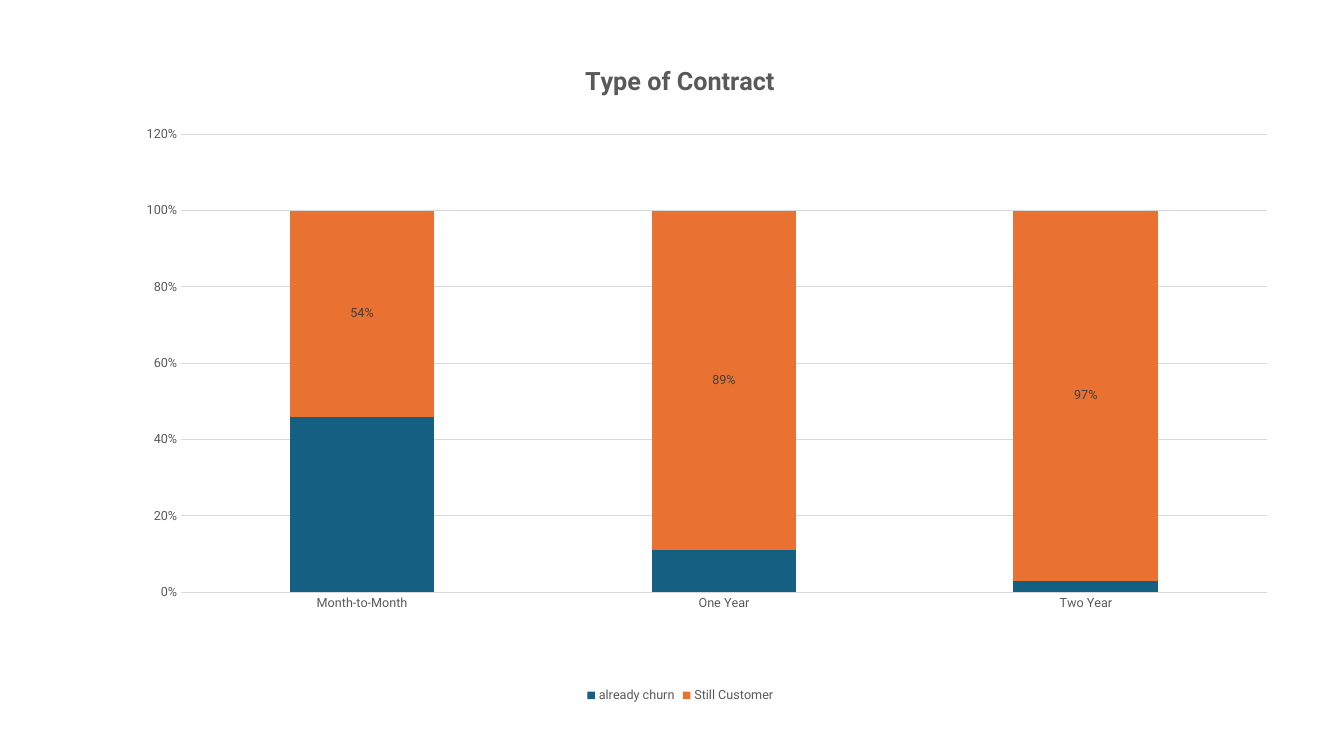
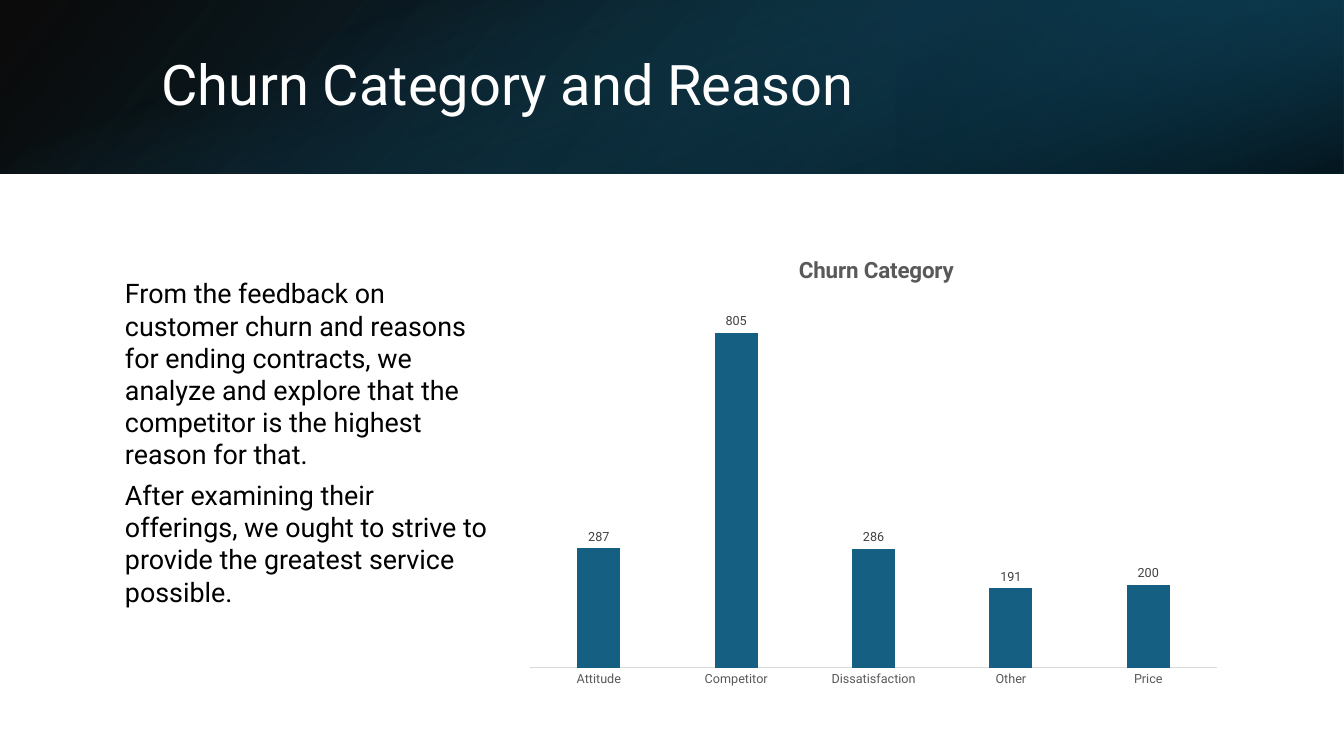
from lxml import etree
from pptx import Presentation
from pptx.chart.data import CategoryChartData
from pptx.dml.color import RGBColor
from pptx.enum.chart import XL_CHART_TYPE, XL_LABEL_POSITION, XL_LEGEND_POSITION, XL_TICK_MARK
from pptx.enum.shapes import MSO_SHAPE
from pptx.enum.text import MSO_ANCHOR, MSO_AUTO_SIZE, PP_ALIGN
from pptx.oxml.ns import qn
from pptx.util import Cm, Pt

STACK = XL_CHART_TYPE.COLUMN_STACKED
CLUSTER = XL_CHART_TYPE.COLUMN_CLUSTERED
CENTER = XL_LABEL_POSITION.CENTER
OUTSIDE = XL_LABEL_POSITION.OUTSIDE_END
BOTTOM = XL_LEGEND_POSITION.BOTTOM
NO_TICK = XL_TICK_MARK.NONE
RECT = MSO_SHAPE.RECTANGLE
MIDDLE = MSO_ANCHOR.MIDDLE
NO_FIT = MSO_AUTO_SIZE.NONE
LEFT = PP_ALIGN.LEFT

FONT = "Roboto"
WHITE = RGBColor(0xFF, 0xFF, 0xFF)
BLACK = RGBColor(0, 0, 0)
BLUE = RGBColor(0x15, 0x60, 0x82)
ORANGE = RGBColor(0xE9, 0x71, 0x32)
NAVY = RGBColor(0x10, 0x48, 0x62)
DEEP = RGBColor(0x0B, 0x30, 0x41)
GRAY = RGBColor(0x59, 0x59, 0x59)
DARK = RGBColor(0x40, 0x40, 0x40)
PALE = RGBColor(0xD9, 0xD9, 0xD9)

WIDE, HIGH, BAND = 33.87, 19.05, 4.37

CONTRACT = {
    "kind": STACK,
    "at": (1.42, 0.84, 31.45, 16.97),
    "title": ("Type of Contract", 18, (0.42, 0.04)),
    "cats": ["Month-to-Month", "One Year", "Two Year"],
    "series": [
        ("already churn", [0.46, 0.11, 0.03], BLUE, None),
        ("Still Customer", [0.54, 0.89, 0.97], ORANGE, CENTER),
    ],
    "format": "0%",
    "gap": 150,
    "overlap": 100,
    "plot": (0.1, 0.15, 0.87, 0.68),
    "scale": (1.2, 0.2),
    "full": True,
}

REASON = {
    "kind": CLUSTER,
    "at": (13, 5.87, 18.03, 11.66),
    "title": ("Churn Category", 16, (0.39, 0.04)),
    "cats": ["Attitude", "Competitor", "Dissatisfaction", "Other", "Price"],
    "series": [("Series 1", [287, 805, 286, 191, 200], BLUE, OUTSIDE)],
    "format": "General",
    "gap": 219,
    "overlap": -27,
    "plot": (0.02, 0.13, 0.96, 0.81),
    "scale": (900, 100),
    "full": False,
}

HEADING = "Churn Category and Reason"
NOTES = [
    "From the feedback on customer churn and reasons for ending contracts, we analyze "
    "and explore that the competitor is the highest reason for that.",
    "After examining their offerings, we ought to strive to provide the greatest service possible.",
]

SIDE = (WIDE - BAND) / 2
BANDS = [
    ((0, 0, WIDE, BAND), 0, True, 140, [(0, BLACK, 96), (100, NAVY, 100)]),
    ((WIDE * 2 / 3, 0, WIDE / 3, BAND), 180, True, 320, [(19, DEEP, 68), (100, BLUE, 79)]),
    ((SIDE, -SIDE, BAND, WIDE), 90, False, 340, [(23, BLUE, 0), (99, BLACK, 74)]),
]


def place(box):
    return [Cm(n) for n in box]


def style(font, size, color, bold=False):
    font.name, font.size, font.bold = FONT, Pt(size), bold
    font.color.rgb = color


def set_layout(node, spot, index):
    layout = node.find(qn("c:layout"))
    if layout is None:
        layout = etree.Element(qn("c:layout"))
        node.insert(index, layout)
    manual = etree.SubElement(layout, qn("c:manualLayout"))
    rows = [("xMode", "edge"), ("yMode", "edge")] + list(zip("xywh", spot))
    if len(spot) == 4:
        rows.insert(0, ("layoutTarget", "inner"))
    for tag, value in rows:
        etree.SubElement(manual, qn("c:" + tag)).set("val", str(value))


def add_chart(slide, info):
    data = CategoryChartData(number_format=info["format"])
    data.categories = info["cats"]
    for name, values, _, _ in info["series"]:
        data.add_series(name, values)
    chart = slide.shapes.add_chart(info["kind"], *place(info["at"]), data).chart
    style(chart.font, 10, BLACK)

    text, size, spot = info["title"]
    chart.has_title = True
    frame = chart.chart_title.text_frame
    frame.text = text
    style(frame.paragraphs[0].font, size, GRAY, True)
    chart.chart_title.include_in_layout = False
    set_layout(chart.chart_title._element, spot, 1)

    plot = chart.plots[0]
    plot.gap_width, plot.overlap = info["gap"], info["overlap"]
    plot.vary_by_categories = False
    set_layout(chart._chartSpace.chart.plotArea, info["plot"], 0)
    for series, (_, _, color, pos) in zip(plot.series, info["series"]):
        series.format.fill.solid()
        series.format.fill.fore_color.rgb = color
        if pos is not None:
            labels = series.data_labels
            labels.show_value = True
            labels.position = pos
            labels.number_format = info["format"]
            labels.number_format_is_linked = False
            style(labels.font, 9, DARK)

    base, axis = chart.category_axis, chart.value_axis
    base.major_tick_mark = axis.major_tick_mark = NO_TICK
    style(base.tick_labels.font, 9, GRAY)
    base.format.line.color.rgb = PALE
    base.format.line.width = Pt(0.75)
    axis.minimum_scale = 0
    axis.maximum_scale, axis.major_unit = info["scale"]
    axis.visible = axis.has_major_gridlines = chart.has_legend = info["full"]
    if info["full"]:
        style(axis.tick_labels.font, 9, GRAY)
        axis.tick_labels.number_format = info["format"]
        axis.tick_labels.number_format_is_linked = False
        axis.format.line.fill.background()
        grid = axis.major_gridlines.format.line
        grid.color.rgb, grid.width = PALE, Pt(0.75)
        chart.legend.position = BOTTOM
        chart.legend.include_in_layout = False
        style(chart.legend.font, 9, GRAY)


def add_band(slide, box, turn, flip, angle, stops):
    band = slide.shapes.add_shape(RECT, *place(box))
    band.rotation = turn
    band.shadow.inherit = False
    band.line.fill.background()
    band.fill.gradient()
    props = band.element.spPr
    if flip:
        props.find(qn("a:xfrm")).set("flipH", "1")
    grad = props.find(qn("a:gradFill"))
    for child in list(grad):
        grad.remove(child)
    grad.set("rotWithShape", "1")
    group = etree.SubElement(grad, qn("a:gsLst"))
    for pos, color, alpha in stops:
        stop = etree.SubElement(group, qn("a:gs"), pos=str(pos * 1000))
        tone = etree.SubElement(stop, qn("a:srgbClr"), val=str(color))
        etree.SubElement(tone, qn("a:alpha"), val=str(alpha * 1000))
    etree.SubElement(grad, qn("a:lin"), ang=str(angle * 60000), scaled="0")


def add_title(slide, text):
    title = slide.shapes.title
    title.left, title.top, title.width, title.height = place((3.81, 0.97, 27.89, 2.44))
    frame = title.text_frame
    frame.text = text
    frame.auto_size = NO_FIT
    frame.vertical_anchor = MIDDLE
    para = frame.paragraphs[0]
    para.alignment, para.line_spacing = LEFT, 0.9
    style(para.font, 40, WHITE)
    slide.shapes._spTree.append(title.element)


def add_notes(slide, lines):
    frame = slide.shapes.add_textbox(*place((2.9, 6.86, 9.78, 9.5))).text_frame
    frame.word_wrap = True
    frame.text = "\n".join(lines)
    for para in frame.paragraphs:
        para.line_spacing, para.space_after = Pt(23), Pt(6)
        style(para.font, 19.2, BLACK)


def main():
    deck = Presentation()
    deck.slide_width, deck.slide_height = Cm(WIDE), Cm(HIGH)
    first = deck.slides.add_slide(deck.slide_layouts[6])
    add_chart(first, CONTRACT)

    second = deck.slides.add_slide(deck.slide_layouts[5])
    for band in BANDS:
        add_band(second, *band)
    add_title(second, HEADING)
    add_notes(second, NOTES)
    add_chart(second, REASON)
    deck.save("out.pptx")


if __name__ == "__main__":
    main()
